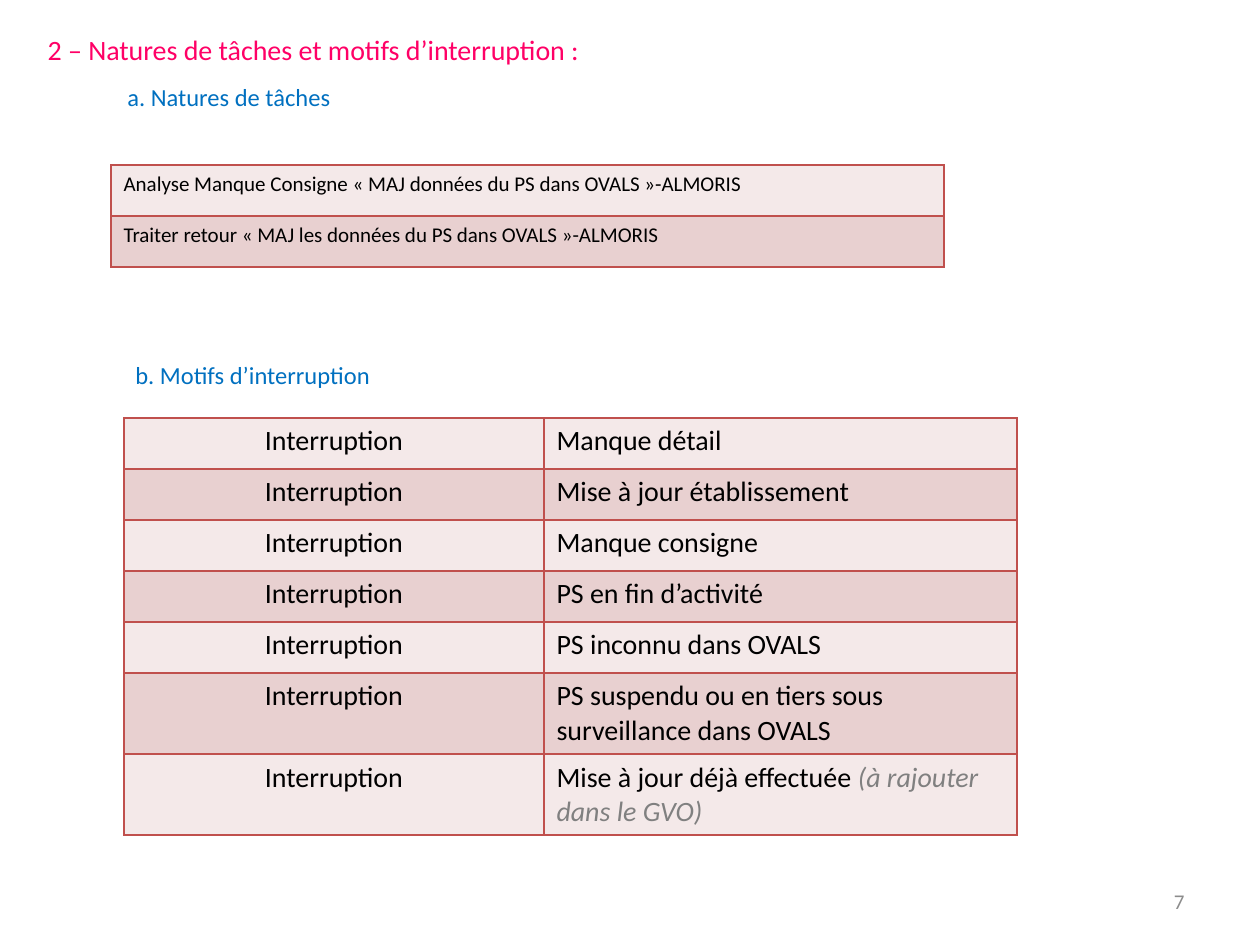
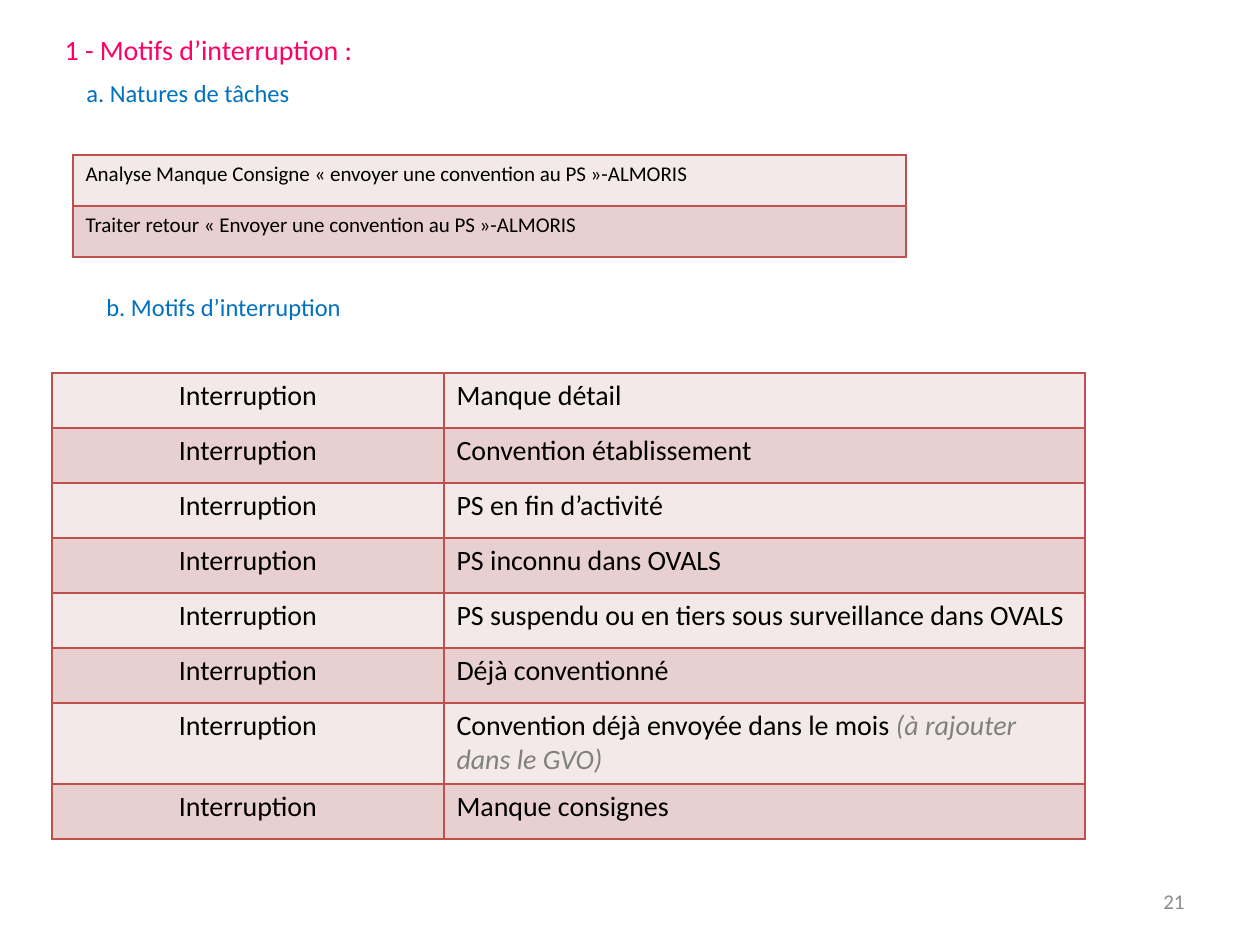
import pptx
import pptx.dml.color
import pptx.enum.text
import pptx.oxml
import pptx.oxml.ns
import pptx.util

SCALE = 914400 / 126
FONT = "Calibri"
HEX = {
    "title": "FF0066",
    "head": "0070C0",
    "text": "000000",
    "note": "808080",
    "page": "8C8C8C",
    "edge": "C0504D",
    "light": "F4E9E9",
    "dark": "E8D0D0",
}
ALIGN = pptx.enum.text.PP_ALIGN
ANCHOR = pptx.enum.text.MSO_ANCHOR
FRAME = {
    "word_wrap": True,
    "auto_size": pptx.enum.text.MSO_AUTO_SIZE.NONE,
    "vertical_anchor": ANCHOR.TOP,
}
TITLE = {"size": 16, "color": "title"}
HEAD = {"size": 14, "color": "head"}
PAGE = {"size": 12, "color": "page"}
TASK = {"size": 12, "color": "text"}
CAUSE = {"size": 16, "color": "text"}
NOTE = {"size": 16, "color": "note", "italic": True}
EXTRA = "(à rajouter dans le GVO)"

SLIDES = [
    {
        "page": "7",
        "title": ("2 – Natures de tâches et motifs d’interruption :", (35, 26, 1147, 730)),
        "heads": [(115, 76), (123, 354)],
        "tasks": (111, 165, 833, 102),
        "names": [
            "Analyse Manque Consigne « MAJ données du PS dans OVALS »-ALMORIS",
            "Traiter retour « MAJ les données du PS dans OVALS »-ALMORIS",
        ],
        "table": (124, 418, 893, 415),
        "cols": (420, 473),
        "row": 51,
        "causes": [
            ("Manque détail",),
            ("Mise à jour établissement",),
            ("Manque consigne",),
            ("PS en fin d’activité",),
            ("PS inconnu dans OVALS",),
            ("PS suspendu ou en tiers sous surveillance dans OVALS",),
            ("Mise à jour déjà effectuée ", EXTRA),
        ],
    },
    {
        "page": "21",
        "title": ("1 - Motifs d’interruption :", (52, 26, 1155, 720)),
        "heads": [(74, 72), (94, 286)],
        "tasks": (73, 155, 833, 102),
        "names": [
            "Analyse Manque Consigne « envoyer une convention au PS »-ALMORIS",
            "Traiter retour « Envoyer une convention au PS »-ALMORIS",
        ],
        "table": (52, 373, 1033, 465),
        "cols": (392, 641),
        "row": 55,
        "causes": [
            ("Manque détail",),
            ("Convention établissement",),
            ("PS en fin d’activité",),
            ("PS inconnu dans OVALS",),
            ("PS suspendu ou en tiers sous surveillance dans OVALS",),
            ("Déjà conventionné",),
            ("Convention déjà envoyée dans le mois ", EXTRA),
            ("Manque consignes",),
        ],
    },
]


def px(num):
    return pptx.util.Emu(round(num * SCALE))


def rgb(name):
    return pptx.dml.color.RGBColor.from_string(HEX[name])


def write(frame, runs, align=ALIGN.LEFT):
    para = frame.paragraphs[0]
    para.alignment = align
    for text, style in runs:
        run = para.add_run()
        run.text = text
        look = {
            "name": FONT,
            "size": pptx.util.Pt(style["size"]),
            "bold": False,
            "italic": style.get("italic", False),
        }
        for key, value in look.items():
            setattr(run.font, key, value)
        run.font.color.rgb = rgb(style["color"])


def fit(shape, box, **more):
    for key, value in zip(("left", "top", "width", "height"), box):
        setattr(shape, key, px(value))
    for key, value in {**FRAME, **more}.items():
        setattr(shape.text_frame, key, value)


def label(slide, box, text, style, align=ALIGN.LEFT, **more):
    shape = slide.shapes.add_textbox(*map(px, box))
    fit(shape, box, **more)
    write(shape.text_frame, [(text, style)], align)


def edge(cell):
    props = cell._tc.get_or_add_tcPr()
    space = pptx.oxml.ns.nsdecls("a")
    for side in "LRTB":
        props.append(pptx.oxml.parse_xml(
            f'<a:ln{side} {space} w="12700"><a:solidFill>'
            f'<a:srgbClr val="{HEX["edge"]}"/></a:solidFill></a:ln{side}>'
        ))


def grid(slide, box, cols, row, lines):
    shape = slide.shapes.add_table(len(lines), len(cols), *map(px, box))
    table = shape.table
    for flag in ("first_row", "horz_banding"):
        setattr(table, flag, False)
    for col, width in zip(table.columns, cols):
        col.width = px(width)
    for num, line in enumerate(lines):
        table.rows[num].height = px(row)
        for cell, (runs, align) in zip(table.rows[num].cells, line):
            edge(cell)
            cell.fill.solid()
            cell.fill.fore_color.rgb = rgb("dark" if num % 2 else "light")
            write(cell.text_frame, runs, align)
    shape.height = px(box[3])


def tasks(slide, box, names):
    lines = [[([(name, TASK)], ALIGN.LEFT)] for name in names]
    grid(slide, box, [box[2]], box[3] // len(names), lines)


def causes(slide, box, cols, row, items):
    lines = [
        [
            ([("Interruption", CAUSE)], ALIGN.CENTER),
            (list(zip(item, (CAUSE, NOTE))), ALIGN.LEFT),
        ]
        for item in items
    ]
    grid(slide, box, cols, row, lines)


def build(deck, data):
    slide = deck.slides.add_slide(deck.slide_layouts[5])
    text, box = data["title"]
    fit(slide.shapes.title, box)
    write(slide.shapes.title.text_frame, [(text, TITLE)])
    heads = ("a. Natures de tâches", "b. Motifs d’interruption")
    for text, spot in zip(heads, data["heads"]):
        label(slide, (*spot, 379, 43), text, HEAD)
    tasks(slide, data["tasks"], data["names"])
    causes(slide, data["table"], data["cols"], data["row"], data["causes"])
    label(slide, (903, 876, 294, 50), data["page"], PAGE, ALIGN.RIGHT,
          vertical_anchor=ANCHOR.MIDDLE)


def main():
    deck = pptx.Presentation()
    deck.slide_width, deck.slide_height = px(1260), px(945)
    for data in SLIDES:
        build(deck, data)
    deck.save("out.pptx")


if __name__ == "__main__":
    main()
